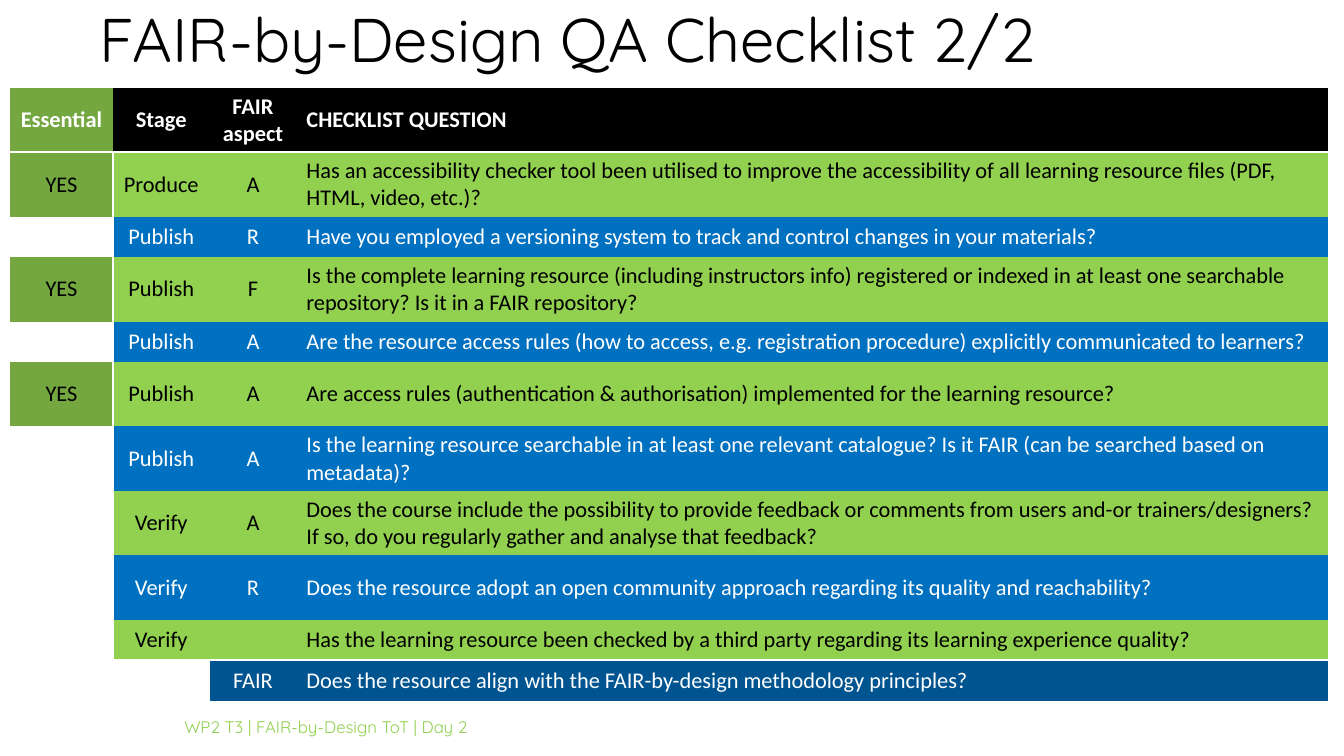
from lxml.etree import SubElement
from pptx import Presentation
from pptx.dml.color import RGBColor
from pptx.enum.text import MSO_ANCHOR as ANCHOR, PP_ALIGN as ALIGN
from pptx.oxml.ns import qn
from pptx.util import Inches, Pt

WHITE, BLACK = "FFFFFF", "000000"
LIME, BLUE, GREEN, NAVY = "92D050", "0070C0", "75A740", "005490"
PLAIN_TABLE = "{2D5ABB26-0587-4C30-8999-92F81FD0307C}"
COLUMNS, ROWS = 133.3, 75
COL_WIDTHS = [10.2, 9.6, 8.6, 102.3]
TALL, SHORT = 6.4, 3.8

HEADER = ("Essential", "Stage", "FAIR aspect", "CHECKLIST QUESTION")
CHECKS = [
    (TALL, "YES", "Produce", "A", "Has an accessibility checker tool been utilised to improve the "
     "accessibility of all learning resource files (PDF, HTML, video, etc.)?"),
    (SHORT, "", "Publish", "R", "Have you employed a versioning system to track and control "
     "changes in your materials?"),
    (TALL, "YES", "Publish", "F", "Is the complete learning resource (including instructors info) "
     "registered or indexed in at least one searchable repository? Is it in a FAIR repository?"),
    (SHORT, "", "Publish", "A", "Are the resource access rules (how to access, e.g. registration "
     "procedure) explicitly communicated to learners?"),
    (TALL, "YES", "Publish", "A", "Are access rules (authentication & authorisation) implemented "
     "for the learning resource?"),
    (TALL, "", "Publish", "A", "Is the learning resource searchable in at least one relevant "
     "catalogue? Is it FAIR (can be searched based on metadata)?"),
    (TALL, "", "Verify", "A", "Does the course include the possibility to provide feedback or "
     "comments from users and-or trainers/designers? If so, do you regularly gather and analyse "
     "that feedback?"),
    (TALL, "", "Verify", "R", "Does the resource adopt an open community approach regarding its "
     "quality and reachability?"),
    (SHORT, "", "Verify", "", "Has the learning resource been checked by a third party regarding "
     "its learning experience quality?"),
]
SUMMARY = ("", "", "FAIR", "Does the resource align with the FAIR-by-design methodology principles?")


def rgb(color):
    return RGBColor.from_string(color)


class Deck:
    heading_font, body_font, body_size = "Quicksand", "Calibri", 16

    def __init__(self):
        self.prs = Presentation()
        self.prs.slide_width, self.prs.slide_height = Inches(13.33), Inches(7.5)
        self.slide = self.prs.slides.add_slide(self.prs.slide_layouts[6])

    def x(self, columns):
        return round(self.prs.slide_width * columns / COLUMNS)

    def y(self, rows):
        return round(self.prs.slide_height * rows / ROWS)

    def style(self, r, font, size, color, bold=False):
        r.font.name, r.font.size, r.font.bold = font, Pt(size), bold
        r.font.color.rgb = rgb(color)

    def text(self, content, left, top, width, height, size, color, spacing=1.0):
        sp = self.slide.shapes.add_textbox(self.x(left), self.y(top), self.x(width), self.y(height))
        tf = sp.text_frame
        tf.word_wrap, tf.vertical_anchor = True, ANCHOR.MIDDLE
        tf.text = content
        p = tf.paragraphs[0]
        p.line_spacing = spacing
        self.style(p.runs[0], self.heading_font, size, color)

    def border(self, cell, side):
        ln = SubElement(cell._tc.get_or_add_tcPr(), qn(f"a:ln{side}"), w=str(Pt(2)))
        SubElement(SubElement(ln, qn("a:solidFill")), qn("a:srgbClr"), val=WHITE)

    def cell(self, cell, content, fill, color, bold, centered, borders):
        for side in borders:
            self.border(cell, side)
        if fill:
            cell.fill.solid()
            cell.fill.fore_color.rgb = rgb(fill)
        else:
            cell.fill.background()
        cell.vertical_anchor = ANCHOR.MIDDLE
        p = cell.text_frame.paragraphs[0]
        p.alignment = ALIGN.CENTER if centered else ALIGN.LEFT
        r = p.add_run()
        r.text = content
        self.style(r, self.body_font, self.body_size, color, bold)

    def table(self, left, top, widths, heights):
        frame = self.slide.shapes.add_table(
            len(heights), len(widths), self.x(left), self.y(top),
            self.x(sum(widths)), self.y(sum(heights)))
        table = frame.table
        table.horz_banding = False
        table._tbl.tblPr.find(qn("a:tableStyleId")).text = PLAIN_TABLE
        for column, width in zip(table.columns, widths):
            column.width = self.x(width)
        for row, height in zip(table.rows, heights):
            row.height = self.y(height)
        return table


def checklist_rows():
    yield HEADER, [GREEN, BLACK, BLACK, BLACK], WHITE, "B"
    for i, (_, *texts) in enumerate(CHECKS):
        fill, color = (BLUE, WHITE) if i % 2 else (LIME, BLACK)
        yield texts, [GREEN if texts[0] else None] + [fill] * 3, color, ""
    yield SUMMARY, [None, None, NAVY, NAVY], WHITE, "T"


def main():
    deck = Deck()
    deck.text("FAIR-by-Design QA Checklist 2/2", 8.9, -2.2, 115, 12.9, 44, BLACK, 0.9)
    heights = [TALL] + [check[0] for check in CHECKS] + [SHORT]
    table = deck.table(1, 8.7, COL_WIDTHS, heights)
    for i, (texts, fills, color, edge) in enumerate(checklist_rows()):
        for j, (content, fill) in enumerate(zip(texts, fills)):
            borders = ("R" if i and j == 0 else "") + edge
            deck.cell(table.cell(i, j), content, fill, color, i == 0, j < 3, borders)
    deck.text("WP2 T3 | FAIR-by-Design ToT | Day 2", 17.3, 70.1, 58.7, 4, 12, LIME)
    deck.prs.save("out.pptx")


if __name__ == "__main__":
    main()
